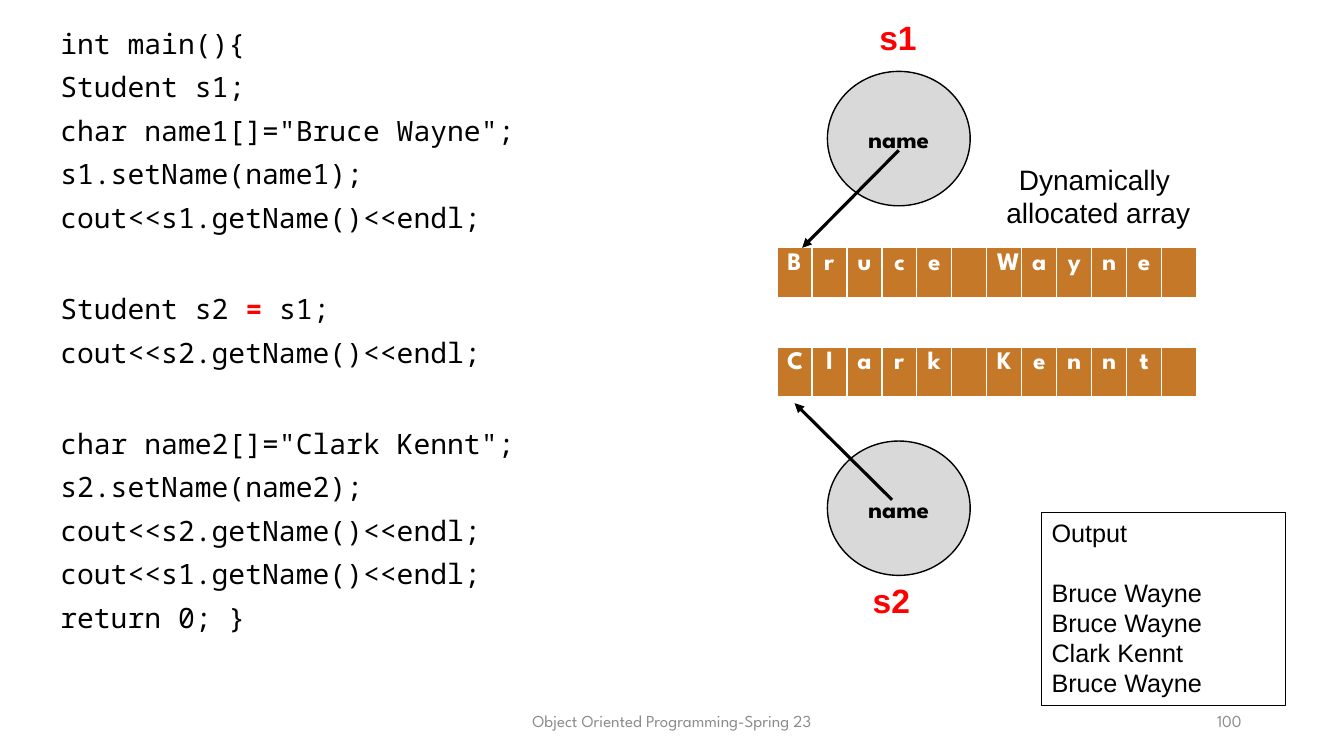
from pptx import Presentation
from pptx import util as u
from pptx.dml import color
from pptx.enum import shapes, text
from pptx.oxml import parse_xml
from pptx.oxml import ns

THEME = {
    "black": color.RGBColor.from_string("000000"),
    "white": color.RGBColor.from_string("FFFFFF"),
    "red": color.RGBColor.from_string("FF0000"),
    "gray": color.RGBColor.from_string("8C8C8C"),
    "disc": color.RGBColor.from_string("D9D9D9"),
    "cell": color.RGBColor.from_string("C57827"),
    "footer": {"name": "League Spartan", "size": u.Pt(12), "bold": False},
    "code": {"name": "Noto Sans Mono", "size": u.Pt(20), "bold": False},
    "strong": {"name": "Noto Sans Mono", "size": u.Pt(20), "bold": True},
    "member": {"name": "League Spartan", "size": u.Pt(18), "bold": True},
    "title": {"name": "Arial", "size": u.Pt(24), "bold": True},
    "note": {"name": "Arial", "size": u.Pt(20), "bold": False},
    "output": {"name": "Arial", "size": u.Pt(18), "bold": False},
}
LEFT, CENTER, RIGHT, JUSTIFY = (
    text.PP_ALIGN.LEFT, text.PP_ALIGN.CENTER, text.PP_ALIGN.RIGHT, text.PP_ALIGN.JUSTIFY)
TOP, MIDDLE = text.MSO_ANCHOR.TOP, text.MSO_ANCHOR.MIDDLE
COLUMNS, ROWS = 160, 90

deck = Presentation()
deck.slide_width, deck.slide_height = u.Inches(13.33), u.Inches(7.5)
page = deck.slides.add_slide(deck.slide_layouts[6])


def at(*cells):
    steps = (deck.slide_width / COLUMNS, deck.slide_height / ROWS)
    return [round(cell * steps[i % 2]) for i, cell in enumerate(cells)]


def write(frame, lines, style, ink, align=LEFT, anchor=TOP, wrap=True, **spacing):
    frame.word_wrap, frame.vertical_anchor = wrap, anchor
    for i, line in enumerate(lines):
        para = frame.paragraphs[0] if i == 0 else frame.add_paragraph()
        para.alignment = align
        for key, value in spacing.items():
            if i or key != "space_before":
                setattr(para, key, value)
        spans = [(line, style, ink)] if isinstance(line, str) else line
        for words, face, shade in spans:
            span = para.add_run()
            span.text = words
            for key, value in THEME[face].items():
                setattr(span.font, key, value)
            span.font.color.rgb = THEME[shade]
    return frame


footers = [
    ((53, 83.4, 54, 4.8), "Object Oriented Programming-Spring 23", CENTER),
    ((113, 83.4, 36, 4.8), "100", RIGHT),
]
for cells, words, align in footers:
    box = page.shapes.add_textbox(*at(*cells))
    write(box.text_frame, [words], "footer", "gray", align, MIDDLE)

code = [
    "int main(){",
    "Student s1;",
    'char name1[]="Bruce Wayne";',
    "s1.setName(name1);",
    "cout<<s1.getName()<<endl;",
    [("Student s2 ", "code", "black"), ("= ", "strong", "red"), ("s1;", "code", "black")],
    "cout<<s2.getName()<<endl;",
    'char name2[]="Clark Kennt";',
    "s2.setName(name2);",
    "cout<<s2.getName()<<endl;",
    "cout<<s1.getName()<<endl;",
    "return 0; }",
]
box = page.shapes.add_textbox(*at(6, 3, 108, 77.4))
listing = write(box.text_frame, code, "code", "black", JUSTIFY,
                space_before=u.Pt(9.5), line_spacing=0.9)
for block_start in (5, 7):
    listing.paragraphs[block_start].space_before = u.Pt(43.5)

students = [
    {"label": "s1", "label_at": (103.5, 1.4), "disc_top": 8.5, "array_top": 29.5,
     "letters": "Bruce Wayne ", "arrow": (107, 17.9, 95.5, 29.5)},
    {"label": "s2", "label_at": (102.7, 68.5), "disc_top": 52.5, "array_top": 41.3,
     "letters": "Clark Kennt ", "arrow": (106.2, 59.5, 94.6, 48)},
]
for student in students:
    disc = page.shapes.add_shape(shapes.MSO_SHAPE.OVAL, *at(98.5, student["disc_top"], 17, 16))
    disc.shadow.inherit = False
    disc.fill.solid()
    disc.fill.fore_color.rgb = THEME["disc"]
    disc.line.color.rgb, disc.line.width = THEME["black"], u.Pt(1)
    write(disc.text_frame, ["name"], "member", "black", CENTER, MIDDLE)

    letters = student["letters"]
    array = page.shapes.add_table(1, len(letters), *at(92.5, student["array_top"], 50, 6.1)).table
    for cell, letter in zip(array.iter_cells(), letters):
        if letter.strip():
            write(cell.text_frame, [letter], "member", "white", CENTER)
        props = cell._tc.get_or_add_tcPr()
        for side, points in (("L", 1), ("R", 1), ("T", 1), ("B", 3)):
            props.append(parse_xml(
                f'<a:ln{side} {ns.nsdecls("a")} w="{u.Pt(points)}"><a:solidFill>'
                f'<a:srgbClr val="{THEME["white"]}"/></a:solidFill></a:ln{side}>'))
        cell.fill.solid()
        cell.fill.fore_color.rgb = THEME["cell"]

    label = page.shapes.add_textbox(*at(*student["label_at"], 7, 6))
    write(label.text_frame, [student["label"]], "title", "red", wrap=False)

    arrow = page.shapes.add_connector(shapes.MSO_CONNECTOR.STRAIGHT, *at(*student["arrow"]))
    arrow.line.color.rgb, arrow.line.width = THEME["black"], u.Pt(2.25)
    arrow.line._get_or_add_ln().append(
        parse_xml(f'<a:tailEnd {ns.nsdecls("a")} type="triangle"/>'))
    arrow._element.spPr.append(parse_xml(f'<a:effectLst {ns.nsdecls("a")}/>'))

note = page.shapes.add_textbox(*at(118.5, 18.7, 24.5, 9.2))
write(note.text_frame, ["Dynamically ", "allocated array"], "note", "black", CENTER, wrap=False)

output = page.shapes.add_shape(shapes.MSO_SHAPE.RECTANGLE, *at(124, 61, 29, 23))
output.shadow.inherit = False
output.fill.background()
output.line.color.rgb, output.line.width = THEME["black"], u.Pt(0.75)
results = ["Output", "Bruce Wayne", "Bruce Wayne", "Clark Kennt", "Bruce Wayne"]
printed = write(output.text_frame, results, "output", "black")
printed.paragraphs[1].space_before = u.Pt(21)

deck.save("out.pptx")
